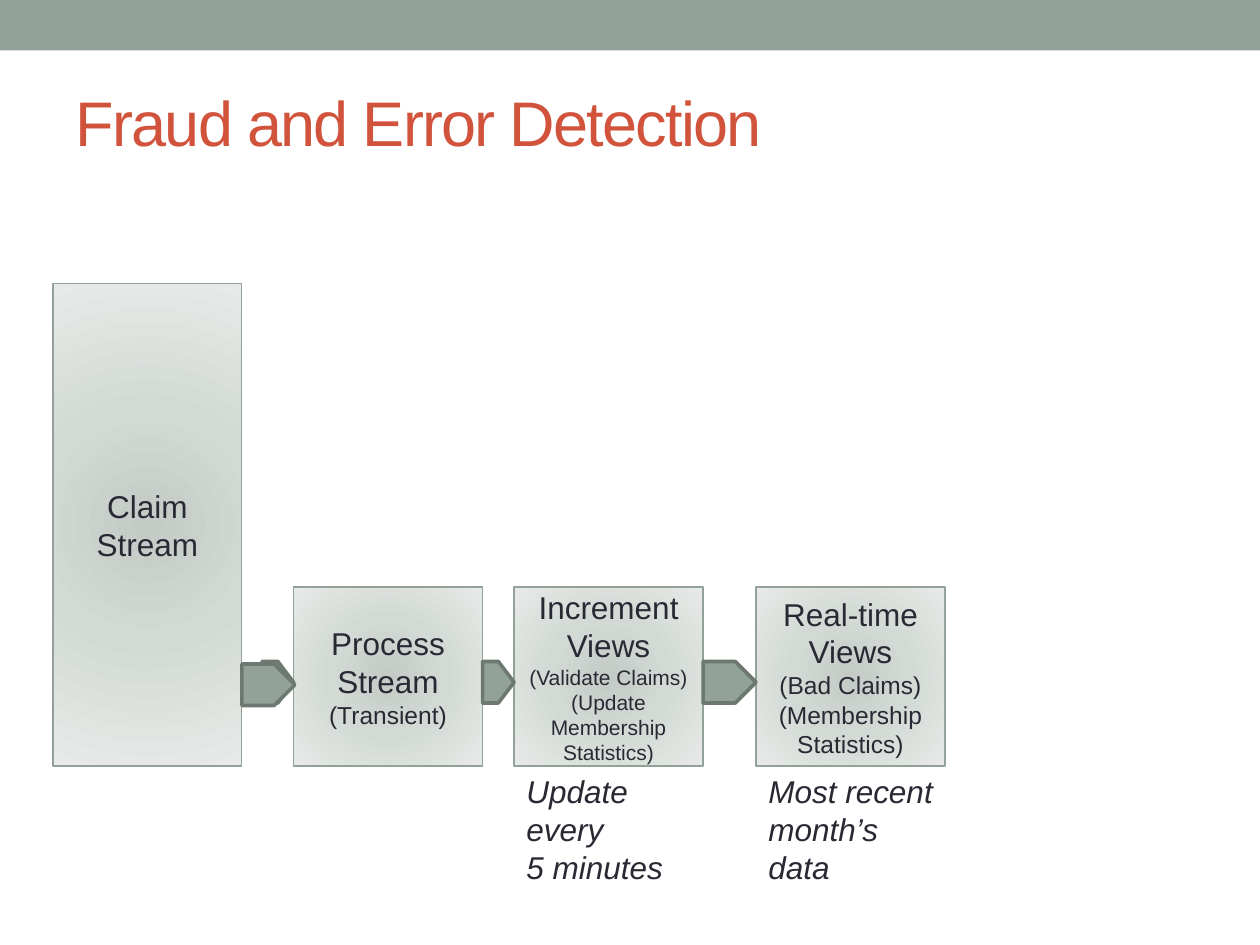
"""Build the fraud and error detection stream slide."""
from pptx import Presentation, oxml
from pptx.dml.color import RGBColor
from pptx.enum import shapes, text
from pptx.oxml import ns
from pptx.util import Inches, Pt

SAGE = RGBColor(0x93, 0xA2, 0x99)
EDGE = RGBColor(0x6D, 0x78, 0x71)
RUST = RGBColor(0xD2, 0x53, 0x3C)
INK = RGBColor(0x29, 0x29, 0x34)
GLOW = f"""<a:gradFill {ns.nsdecls('a')} rotWithShape="1"><a:gsLst>
<a:gs pos="0"><a:srgbClr val="C4CAC6"/></a:gs>
<a:gs pos="45000"><a:srgbClr val="D3DAD6"/></a:gs>
<a:gs pos="100000"><a:srgbClr val="E7EAE8"/></a:gs></a:gsLst>
<a:path path="circle"><a:fillToRect l="100000" t="100000" r="100000" b="100000"/></a:path>
</a:gradFill>"""


def draw(kind, left, top, width, height):
    shape = slide.shapes.add_shape(
        kind, Inches(left), Inches(top), Inches(width), Inches(height))
    shape.shadow.inherit = False
    shape.fill.solid()
    shape.fill.fore_color.rgb = SAGE
    shape.line.color.rgb = SAGE
    shape.line.width = Pt(0.75)
    return shape


def write(frame, lines, align, slant=False):
    frame.word_wrap = True
    for i, (line, size) in enumerate(lines):
        para = frame.paragraphs[0] if i == 0 else frame.add_paragraph()
        para.text = line
        para.alignment = align
        para.font.name = "Arial"
        para.font.size = Pt(size)
        para.font.italic = slant
        para.font.color.rgb = INK


deck = Presentation()
deck.slide_width, deck.slide_height = Inches(10), Inches(7.5)
slide = deck.slides.add_slide(deck.slide_layouts[5])

band = draw(shapes.MSO_SHAPE.RECTANGLE, 0, 0, 10, 0.4)
band.line.fill.background()

title = slide.shapes.title
title.left, title.top = Inches(0.5), Inches(0.42)
title.width, title.height = Inches(9), Inches(1.08)
title.text_frame.vertical_anchor = text.MSO_ANCHOR.MIDDLE
title.text_frame.text = "Fraud and Error Detection"
head = title.text_frame.paragraphs[0]
head.alignment = text.PP_ALIGN.LEFT
head.font.name = "Arial"
head.font.size = Pt(36)
head.font.color.rgb = RUST
head.runs[0].font._element.set("spc", "-100")

BASE = 6.08
stages = [
    (4.08, 1.42, [("Increment Views", 18), ("(Validate Claims)", 12),
                  ("(Update Membership Statistics)", 12)]),
    (6, 1.42, [("Real-time Views", 18), ("(Bad Claims)", 14),
               ("(Membership", 14), ("Statistics)", 14)]),
    (2.33, 1.42, [("Process Stream", 18), ("(Transient)", 14)]),
    (0.42, 3.83, [("Claim Stream", 18)]),
]
for left, height, lines in stages:
    box = draw(shapes.MSO_SHAPE.RECTANGLE, left, BASE - height, 1.5, height)
    box.fill.gradient()
    props = box._element.spPr
    props.replace(props.find(ns.qn("a:gradFill")), oxml.parse_xml(GLOW))
    box.text_frame.vertical_anchor = text.MSO_ANCHOR.MIDDLE
    write(box.text_frame, lines, text.PP_ALIGN.CENTER)

arrows = [(5.58, 5.25, 0.42), (3.83, 5.25, 0.25),
          (2.08, 5.25, 0.25), (1.92, 5.27, 0.42)]
for left, top, width in arrows:
    arrow = draw(shapes.MSO_SHAPE.PENTAGON, left, top, width, 0.33)
    arrow.line.color.rgb = EDGE
    arrow.line.width = Pt(2.08)

notes = [(6, ["Most recent", "month’s data"]),
         (4.08, ["Update every", "5 minutes"])]
for left, lines in notes:
    note = slide.shapes.add_textbox(
        Inches(left), Inches(BASE), Inches(1.55), Inches(0.71))
    write(note.text_frame, [(line, 18) for line in lines],
          text.PP_ALIGN.LEFT, True)

deck.save("out.pptx")
